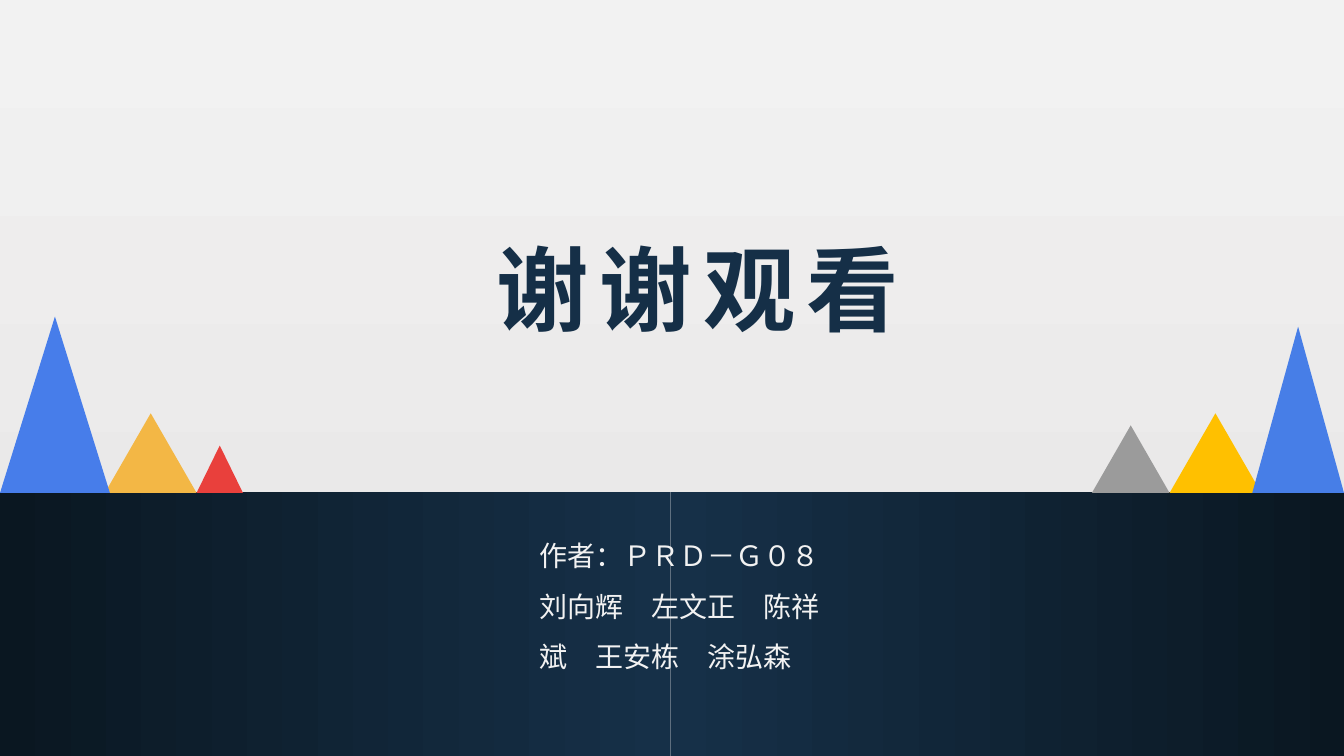
from lxml import etree
from pptx import Presentation
from pptx.dml.color import RGBColor
from pptx.enum.shapes import MSO_SHAPE
from pptx.enum.text import MSO_ANCHOR, MSO_AUTO_SIZE, PP_ALIGN
from pptx.oxml.ns import qn
from pptx.util import Inches, Pt

RECTANGLE = MSO_SHAPE.RECTANGLE
TRIANGLE = MSO_SHAPE.ISOSCELES_TRIANGLE
TOP = MSO_ANCHOR.TOP
GROW = MSO_AUTO_SIZE.SHAPE_TO_FIT_TEXT
CENTER = PP_ALIGN.CENTER
LEFT = PP_ALIGN.LEFT

FONT = "Noto Sans CJK SC"
COLORS = {
    "sky_top": "F2F2F2",
    "sky_bottom": "E6E4E4",
    "ground_center": "163048",
    "ground_edge": "0A1721",
    "title": "152F47",
    "authors": "F2F2F2",
    "blue": "477DEA",
    "right_blue": "477EE7",
    "amber": "F3B745",
    "yellow": "FFC000",
    "red": "E9403C",
    "gray": "9B9B9B",
}
HORIZON = 4.88
GROUND_HEIGHT = 2.62
PEAKS = [
    (1.04, 0.91, 0.79, "amber"),
    (10.83, 0.77, 0.67, "gray"),
    (0, 1.09, 1.75, "blue"),
    (1.95, 0.46, 0.47, "red"),
    (11.6, 0.91, 0.79, "yellow"),
    (12.42, 0.91, 1.65, "right_blue"),
]


class ClosingSlide:
    def __init__(self, presentation):
        self.slide = presentation.slides.add_slide(presentation.slide_layouts[5])

    def color(self, name):
        return RGBColor.from_string(COLORS[name])

    def gradient(self, fill, start, end, angle):
        fill.gradient()
        fill.gradient_angle = angle
        for stop, name, position in zip(fill.gradient_stops, (start, end), (0, 1)):
            stop.color.rgb = self.color(name)
            stop.position = position

    def background(self):
        self.gradient(self.slide.background.fill, "sky_top", "sky_bottom", 270)

    def shape(self, kind, left, top, width, height):
        shape = self.slide.shapes.add_shape(
            kind, Inches(left), Inches(top), Inches(width), Inches(height))
        shape.shadow.inherit = False
        shape.line.fill.background()
        return shape

    def ground(self, left, width, rotation):
        half = self.shape(RECTANGLE, left, HORIZON, width, GROUND_HEIGHT)
        half.rotation = rotation
        self.gradient(half.fill, "ground_center", "ground_edge", 0)

    def peak(self, left, width, height, color):
        peak = self.shape(TRIANGLE, left, HORIZON + 0.01 - height, width, height)
        peak.fill.solid()
        peak.fill.fore_color.rgb = self.color(color)

    def set_text(self, box, lines, size, color, align, line_spacing, bold=False, spacing=0):
        frame = box.text_frame
        frame.text = "\n".join(lines)
        frame.word_wrap = True
        frame.auto_size = GROW
        frame.vertical_anchor = TOP
        for paragraph in frame.paragraphs:
            paragraph.alignment = align
            paragraph.line_spacing = line_spacing
            for run in paragraph.runs:
                run.font.name = FONT
                run.font.size = Pt(size)
                run.font.bold = bold
                run.font.color.rgb = self.color(color)
                properties = run._r.get_or_add_rPr()
                properties.set("spc", str(spacing * 100))
                etree.SubElement(properties, qn("a:ea"), typeface=FONT)

    def title(self, text):
        title = self.slide.shapes.title
        title.left, title.top = Inches(4.49), Inches(2.25)
        title.width, title.height = Inches(4.86), Inches(1.21)
        self.set_text(title, [text], 66, "title", CENTER, 1.0, bold=True, spacing=8)

    def authors(self, lines):
        box = self.slide.shapes.add_textbox(
            Inches(5.25), Inches(5.13), Inches(3.33), Inches(1.61))
        self.set_text(box, lines, 20, "authors", LEFT, 1.5)


def main():
    presentation = Presentation()
    presentation.slide_width = Inches(13.33)
    presentation.slide_height = Inches(7.5)
    closing = ClosingSlide(presentation)
    closing.background()
    closing.ground(0, 6.65, 180)
    closing.ground(6.65, 6.69, 0)
    closing.title("谢谢观看")
    closing.authors(["作者：ＰＲＤ－Ｇ０８", "刘向辉　左文正　陈祥斌　王安栋　涂弘森"])
    for peak in PEAKS:
        closing.peak(*peak)
    presentation.save("out.pptx")


if __name__ == "__main__":
    main()
